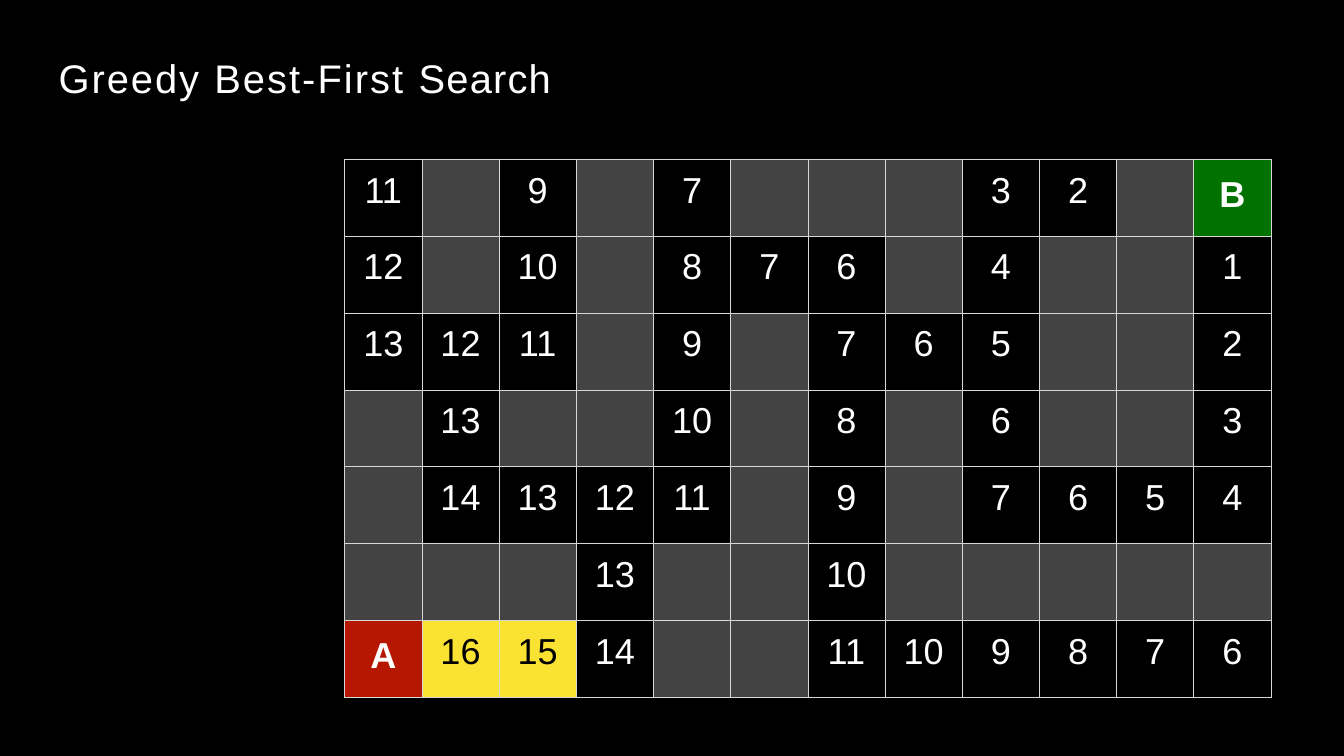
from dataclasses import dataclass

from lxml import etree
from pptx import Presentation
from pptx import util as u
from pptx.dml.color import RGBColor
from pptx.enum import text
from pptx.oxml import ns

BLACK = RGBColor(0x00, 0x00, 0x00)
WHITE = RGBColor(0xFF, 0xFF, 0xFF)
WALL_GRAY = RGBColor(0x43, 0x43, 0x43)
START_RED = RGBColor(0xB5, 0x17, 0x00)
GOAL_GREEN = RGBColor(0x01, 0x71, 0x00)
EXPLORED_YELLOW = RGBColor(0xFA, 0xE2, 0x32)
BORDER_GRAY = RGBColor(0xD6, 0xD7, 0xD6)

FONT = "Arial"
WALL = "."
MAZE = [
    "11 .  9  .  7  .  .  .  3  2  .  B",
    "12 .  10 .  8  7  6  .  4  .  .  1",
    "13 12 11 .  9  .  7  6  5  .  .  2",
    ".  13 .  .  10 .  8  .  6  .  .  3",
    ".  14 13 12 11 .  9  .  7  6  5  4",
    ".  .  .  13 .  .  10 .  .  .  .  .",
    "A  16 15 14 .  .  11 10 9  8  7  6",
]
EXPLORED = {(6, 1), (6, 2)}
MAZE_WIDTH, MAZE_HEIGHT = 15.16, 8.8


@dataclass(frozen=True)
class CellStyle:
    fill: RGBColor
    color: RGBColor = WHITE
    bold: bool = False
    top: float = 0.18


OPEN_STYLE = CellStyle(BLACK)
EXPLORED_STYLE = CellStyle(EXPLORED_YELLOW, color=BLACK)
MARKED_STYLES = {
    WALL: CellStyle(WALL_GRAY),
    "A": CellStyle(START_RED, bold=True, top=0.25),
    "B": CellStyle(GOAL_GREEN, bold=True, top=0.26),
}


@dataclass(frozen=True)
class TitleSpan:
    words: str
    spacing: int  # hundredths of a point


TITLE = [
    TitleSpan("Greedy ", 230),
    TitleSpan("Best-First ", 240),
    TitleSpan("Search", 140),
]


def add_borders(cell, color: RGBColor) -> None:
    properties = cell._tc.get_or_add_tcPr()
    for side in ("lnL", "lnR", "lnT", "lnB"):
        line = etree.SubElement(properties, ns.qn(f"a:{side}"), w=str(u.Pt(1)))
        fill = etree.SubElement(line, ns.qn("a:solidFill"))
        etree.SubElement(fill, ns.qn("a:srgbClr"), val=str(color))


def draw_cell(cell, label: str, style: CellStyle) -> None:
    add_borders(cell, BORDER_GRAY)
    cell.fill.solid()
    cell.fill.fore_color.rgb = style.fill
    cell.margin_left = cell.margin_right = cell.margin_bottom = 0
    cell.margin_top = u.Inches(style.top)
    if label == WALL:
        return
    para = cell.text_frame.paragraphs[0]
    para.text = label
    para.alignment = text.PP_ALIGN.CENTER
    set_font(para, 42.5, style.color, style.bold)


def set_font(para, size: float, color: RGBColor, bold: bool = False) -> None:
    para.font.name = FONT
    para.font.size = u.Pt(size)
    para.font.bold = bold
    para.font.color.rgb = color


def draw_maze(page) -> None:
    rows = [line.split() for line in MAZE]
    frame = page.shapes.add_table(
        len(rows), len(rows[0]), u.Inches(5.64), u.Inches(2.61),
        u.Inches(MAZE_WIDTH), u.Inches(MAZE_HEIGHT))
    table = frame.table
    table.first_row = table.horz_banding = False
    for column in table.columns:
        column.width = u.Inches(MAZE_WIDTH / len(rows[0]))
    for row in table.rows:
        row.height = u.Inches(MAZE_HEIGHT / len(rows))
    for i, labels in enumerate(rows):
        for j, label in enumerate(labels):
            style = EXPLORED_STYLE if (i, j) in EXPLORED else MARKED_STYLES.get(label, OPEN_STYLE)
            draw_cell(table.cell(i, j), label, style)


def draw_title(page) -> None:
    box = page.shapes.add_textbox(
        u.Inches(0.96), u.Inches(0.86), u.Inches(8.07), u.Inches(0.81))
    frame = box.text_frame
    frame.word_wrap = True
    frame.margin_left = frame.margin_right = frame.margin_bottom = 0
    frame.margin_top = u.Inches(0.01)
    para = frame.paragraphs[0]
    set_font(para, 47, WHITE)
    for part in TITLE:
        span = para.add_run()
        span.text = part.words
        span.font._element.set("spc", str(part.spacing))


def main() -> None:
    deck = Presentation()
    deck.slide_width, deck.slide_height = u.Inches(21.99), u.Inches(12.37)
    page = deck.slides.add_slide(deck.slide_layouts[6])

    # Black backdrop
    page.background.fill.solid()
    page.background.fill.fore_color.rgb = BLACK

    # Maze with distances to the goal, then the heading
    draw_maze(page)
    draw_title(page)
    deck.save("out.pptx")


if __name__ == "__main__":
    main()
